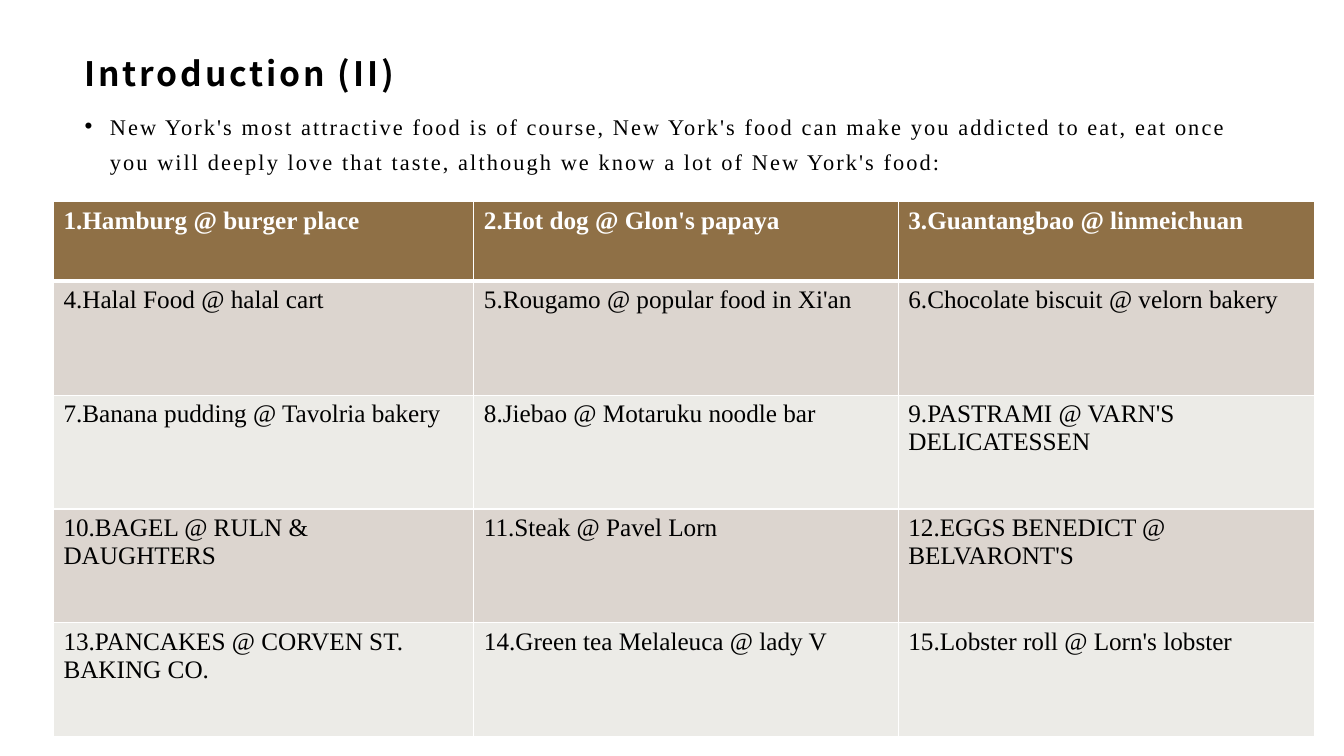
from dataclasses import dataclass

from lxml import etree
from pptx import Presentation
from pptx import util as u
from pptx.dml.color import RGBColor
from pptx.enum import text
from pptx.oxml.ns import qn


@dataclass(frozen=True)
class Theme:
    ink: str = "000000"
    paper: str = "FFFFFF"
    header: str = "8F7046"
    bands: tuple = ("DCD5CF", "ECEBE7")
    title_font: str = "Noto Sans CJK SC"
    body_font: str = "Times New Roman"
    title_size: int = 24
    intro_size: int = 16
    cell_size: int = 18


THEME = Theme()
SLIDE_W, SLIDE_H = 13.33, 7.5
TEXT_LEFT, TEXT_WIDTH = 0.73, 11.87

TITLE = "Introduction (II)"
INTRO = ("New York's most attractive food is of course, New York's food can make you "
         "addicted to eat, eat once you will deeply love that taste, although we know "
         "a lot of New York's food:")
FOODS = [
    ["1.Hamburg @ burger place", "2.Hot dog @ Glon's papaya", "3.Guantangbao @ linmeichuan"],
    ["4.Halal Food @ halal cart", "5.Rougamo @ popular food in Xi'an",
     "6.Chocolate biscuit @ velorn bakery"],
    ["7.Banana pudding @ Tavolria bakery", "8.Jiebao @ Motaruku noodle bar",
     "9.PASTRAMI @ VARN'S DELICATESSEN"],
    ["10.BAGEL @ RULN & DAUGHTERS", "11.Steak @ Pavel Lorn", "12.EGGS BENEDICT @ BELVARONT'S"],
    ["13.PANCAKES @ CORVEN ST. BAKING CO.", "14.Green tea Melaleuca @ lady V",
     "15.Lobster roll @ Lorn's lobster"],
]
COLUMN_WIDTHS = (4.17, 4.21, 4.13)
HEADER_HEIGHT, ROW_HEIGHT = 0.79, 1.13


def style_runs(paragraph, font, size, color, bold=False, spacing=0):
    for run in paragraph.runs:
        run.font.name = font
        run.font.size = u.Pt(size)
        run.font.bold = bold
        run.font.color.rgb = RGBColor.from_string(color)
        properties = run._r.get_or_add_rPr()
        if spacing:
            properties.set("spc", str(round(spacing * 100)))
        # East Asian text uses the same typeface
        etree.SubElement(properties, qn("a:ea")).set("typeface", font)


def add_text(slide, box, words, margins, anchor):
    frame = slide.shapes.add_textbox(*map(u.Inches, box)).text_frame
    frame.word_wrap = True
    frame.vertical_anchor = anchor
    (frame.margin_left, frame.margin_top,
     frame.margin_right, frame.margin_bottom) = map(u.Inches, margins)
    frame.text = words
    return frame.paragraphs[0]


def add_title(slide, box):
    heading = add_text(slide, box, TITLE, (0.11, 0.04, 0.08, 0.04), text.MSO_ANCHOR.MIDDLE)
    style_runs(heading, THEME.title_font, THEME.title_size, THEME.ink, bold=True, spacing=2)


def add_intro(slide, box):
    intro = add_text(slide, box, INTRO, (0.11, 0, 0.09, 0), text.MSO_ANCHOR.TOP)
    intro.line_spacing = 1.3
    intro.space_after = u.Pt(10)
    style_runs(intro, THEME.body_font, THEME.intro_size, THEME.ink, spacing=1.5)
    # Hanging bullet
    properties = intro._p.get_or_add_pPr()
    properties.set("marL", str(u.Inches(0.25)))
    properties.set("indent", str(-u.Inches(0.25)))
    etree.SubElement(properties, qn("a:buFont")).set("typeface", "Arial")
    etree.SubElement(properties, qn("a:buChar")).set("char", "•")


def set_borders(cell, widths):
    properties = cell._tc.get_or_add_tcPr()
    # Border lines come before the fill
    for index, (side, width) in enumerate(widths.items()):
        line = etree.Element(qn(f"a:ln{side}"), w=str(u.Pt(width)))
        fill = etree.SubElement(line, qn("a:solidFill"))
        etree.SubElement(fill, qn("a:srgbClr")).set("val", THEME.paper)
        properties.insert(index, line)


def add_food_table(slide, box):
    table = slide.shapes.add_table(len(FOODS), len(COLUMN_WIDTHS), *map(u.Inches, box)).table
    for column, width in zip(table.columns, COLUMN_WIDTHS):
        column.width = u.Inches(width)
    for r, foods in enumerate(FOODS):
        is_header = r == 0
        table.rows[r].height = u.Inches(HEADER_HEIGHT if is_header else ROW_HEIGHT)
        fill = THEME.header if is_header else THEME.bands[(r - 1) % 2]
        for c, food in enumerate(foods):
            cell = table.cell(r, c)
            cell.text_frame.text = food
            style_runs(cell.text_frame.paragraphs[0], THEME.body_font, THEME.cell_size,
                       THEME.paper if is_header else THEME.ink, bold=is_header)
            cell.fill.solid()
            cell.fill.fore_color.rgb = RGBColor.from_string(fill)
            set_borders(cell, {"L": 1, "R": 1, "T": 3 if r == 1 else 1,
                               "B": 3 if is_header else 1})


def main():
    deck = Presentation()
    deck.slide_width, deck.slide_height = u.Inches(SLIDE_W), u.Inches(SLIDE_H)
    slide = deck.slides.add_slide(deck.slide_layouts[6])
    add_title(slide, (TEXT_LEFT, 0.48, TEXT_WIDTH, 0.48))
    add_intro(slide, (TEXT_LEFT, 1.04, TEXT_WIDTH, 5.89))
    table_height = HEADER_HEIGHT + ROW_HEIGHT * (len(FOODS) - 1)
    add_food_table(slide, (0.53, 2, sum(COLUMN_WIDTHS), table_height))
    deck.save("out.pptx")


if __name__ == "__main__":
    main()
